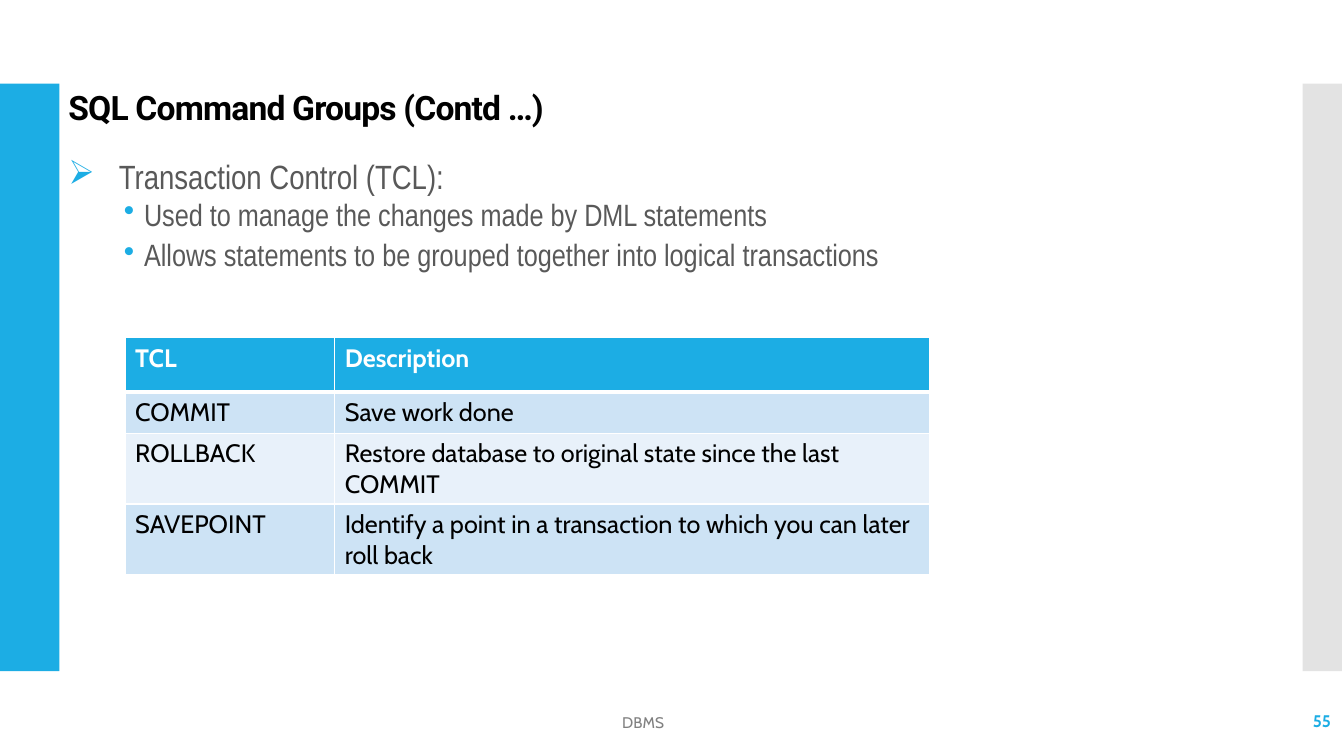
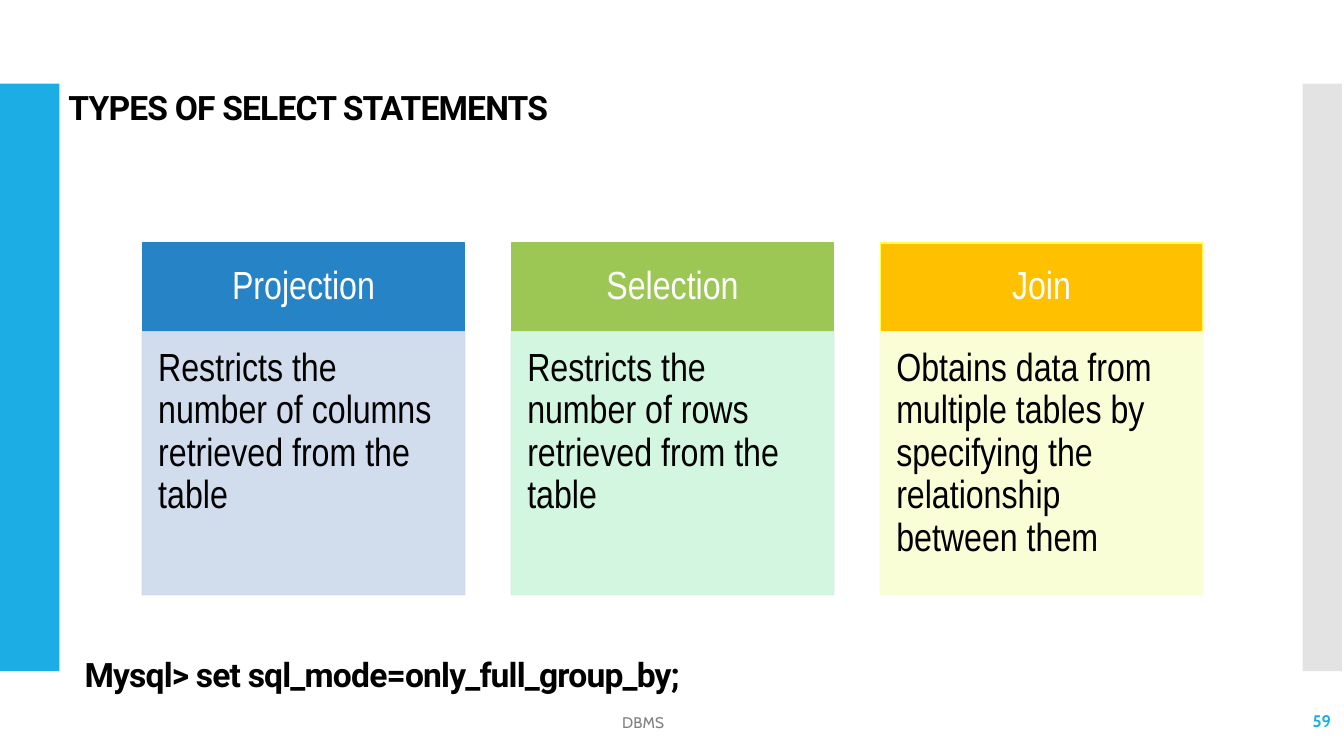
from lxml.etree import SubElement
from pptx import Presentation
from pptx.dml.color import RGBColor
from pptx.enum.shapes import MSO_SHAPE
from pptx.enum.text import MSO_ANCHOR, PP_ALIGN
from pptx.oxml import parse_xml
from pptx.oxml.ns import nsdecls, qn
from pptx.util import Inches, Pt

BLUE, GRAY, WHITE, BLACK = "1CADE4", "C8C8C8", "FFFFFF", "000000"
TITLE = dict(font="Roboto", size=24, color=BLACK, bold=True, line_spacing=0.9, tracking=-60)
FOOTER = dict(font="Cabin", size=11, color="808080", align=PP_ALIGN.CENTER)
NUMBER = dict(font="Cabin", size=12, color=BLUE, bold=True, align=PP_ALIGN.RIGHT)


def paint(shape, fill, line=None, opacity=100):
    """Give a shape a flat fill and an optional outline, both with one opacity."""
    shape.shadow.inherit = False
    formats = [shape.fill]
    if line:
        shape.line.width = Pt(0.85)
        formats.append(shape.line.fill)
    else:
        shape.line.fill.background()
    for paint_format, color in zip(formats, (fill, line)):
        paint_format.solid()
        paint_format.fore_color.rgb = RGBColor.from_string(color)
    if opacity < 100:
        for color_tag in shape._element.spPr.iter(qn("a:srgbClr")):
            SubElement(color_tag, qn("a:alpha"), val=str(opacity * 1000))


def write(para, text, font, size, color, bold=False, align=PP_ALIGN.LEFT,
          line_spacing=None, tracking=None):
    para.alignment = align
    if line_spacing:
        para.line_spacing = line_spacing
    span = para.add_run()
    span.text = text
    span.font.name = font
    span.font.size = Pt(size)
    span.font.bold = bold
    span.font.color.rgb = RGBColor.from_string(color)
    if tracking:
        span._r.get_or_add_rPr().set("spc", str(tracking))


deck = Presentation()
deck.slide_width, deck.slide_height = Inches(13.33), Inches(7.5)

# Shared frame of both slides: side bands, title, footer and number
pages = []
for title, number in (("SQL Command Groups (Contd …)", "55"),
                      ("TYPES OF SELECT STATEMENTS", "59")):
    page = deck.slides.add_slide(deck.slide_layouts[6])
    pages.append(page)
    for left, width, color, opacity in ((0, 0.59, BLUE, 100), (12.92, 0.39, GRAY, 50)):
        band = page.shapes.add_shape(MSO_SHAPE.RECTANGLE, Inches(left), Inches(0.83),
                                     Inches(width), Inches(5.83))
        paint(band, color, opacity=opacity)
    for left, top, width, text, style, anchor in (
            (0.58, 0.86, 10.44, title, TITLE, MSO_ANCHOR.TOP),
            (3.15, 6.97, 6.46, "DBMS", FOOTER, MSO_ANCHOR.MIDDLE),
            (11.63, 6.95, 1.67, number, NUMBER, MSO_ANCHOR.MIDDLE)):
        box = page.shapes.add_textbox(Inches(left), Inches(top), Inches(width), Inches(0.4))
        box.text_frame.word_wrap = True
        box.text_frame.vertical_anchor = anchor
        write(box.text_frame.paragraphs[0], text, **style)

command_page, select_page = pages

# Slide 1: bullets
bullets = [
    ("Transaction Control (TCL):", 0, 24, "➢", 0.5, 0.5),
    ("Used to manage the changes made by DML statements", 1, 22, "•", 0.75, 0.2),
    ("Allows statements to be grouped together into logical transactions", 1, 22, "•", 0.75, 0.2),
]
box = command_page.shapes.add_textbox(Inches(0.58), Inches(1.54), Inches(11.62), Inches(1.5))
box.text_frame.word_wrap = True
for index, (text, level, size, mark, indent, hanging) in enumerate(bullets):
    para = box.text_frame.add_paragraph() if index else box.text_frame.paragraphs[0]
    para.level = level
    if level:
        para.space_before = para.space_after = Pt(2.5)
    properties = para._p.get_or_add_pPr()
    properties.set("marL", str(Inches(indent)))
    properties.set("indent", str(-Inches(hanging)))
    bullet_color = SubElement(properties, qn("a:buClr"))
    SubElement(bullet_color, qn("a:srgbClr"), val=BLUE)
    SubElement(properties, qn("a:buChar"), char=mark)
    write(para, text, "Arial Narrow", size, "595959", line_spacing=0.9)

# Slide 1: table
rows = [
    ("TCL", "Description"),
    ("COMMIT", "Save work done"),
    ("ROLLBACK", "Restore database to original state since the last COMMIT"),
    ("SAVEPOINT", "Identify a point in a transaction to which you can later roll back"),
]
table = command_page.shapes.add_table(len(rows), 2, Inches(1.24), Inches(3.35),
                                      Inches(7.98), Inches(1.77)).table
table.columns[0].width, table.columns[1].width = Inches(2.08), Inches(5.9)
for row_index, row in enumerate(rows):
    header = row_index == 0
    table.rows[row_index].height = Inches(0.54 if header else 0.41)
    fill = BLUE if header else ("E8F1FA", "CDE3F5")[row_index % 2]
    for column_index, text in enumerate(row):
        cell = table.cell(row_index, column_index)
        cell.fill.solid()
        cell.fill.fore_color.rgb = RGBColor.from_string(fill)
        write(cell.text_frame.paragraphs[0], text, "Cabin", 18,
              WHITE if header else BLACK, bold=header)
        for position, side in enumerate("LRTB"):
            thick = (header and side == "B") or (row_index == 1 and side == "T")
            border = parse_xml(
                f'<a:ln{side} {nsdecls("a")} w="{Pt(3 if thick else 1)}"><a:solidFill>'
                f'<a:srgbClr val="{WHITE}"/></a:solidFill></a:ln{side}>')
            cell._tc.get_or_add_tcPr().insert(position, border)

# Slide 2: three cards, each a heading above a body
cards = [
    ("Projection", "Restricts the number of columns retrieved from the table",
     "2683C6", "2683C6", "CDD9EA"),
    ("Selection", "Restricts the number of rows retrieved from the table",
     "9CC755", "9CC755", "CEF6DC"),
    ("Join", "Obtains data from multiple tables by specifying the relationship between them",
     "FFC000", "FEFF4A", "FAFED2"),
]
for index, (heading, body, head_fill, head_line, body_fill) in enumerate(cards):
    left = 1.41 + index * 3.66
    for top, height, text, fill, line, opacity, color, align, anchor, insets in (
            (2.41, 0.88, heading, head_fill, head_line, 100, WHITE, PP_ALIGN.CENTER,
             MSO_ANCHOR.MIDDLE, (0.22, 0.12, 0.22, 0.12)),
            (3.29, 2.61, body, body_fill, body_fill, 90, BLACK, PP_ALIGN.LEFT,
             MSO_ANCHOR.TOP, (0.16, 0.16, 0.22, 0.24))):
        card = select_page.shapes.add_shape(MSO_SHAPE.RECTANGLE, Inches(left), Inches(top),
                                            Inches(3.2), Inches(height))
        paint(card, fill, line, opacity)
        frame = card.text_frame
        frame.word_wrap = True
        frame.vertical_anchor = anchor
        (frame.margin_left, frame.margin_top,
         frame.margin_right, frame.margin_bottom) = map(Inches, insets)
        write(frame.paragraphs[0], text, "Arial Narrow", 28, color, align=align,
              line_spacing=0.9)

# Slide 2: command line
box = select_page.shapes.add_textbox(Inches(0.74), Inches(6.48), Inches(10.44), Inches(0.4))
box.text_frame.word_wrap = True
write(box.text_frame.paragraphs[0], "Mysql> set sql_mode=only_full_group_by;", **TITLE)

deck.save("out.pptx")
